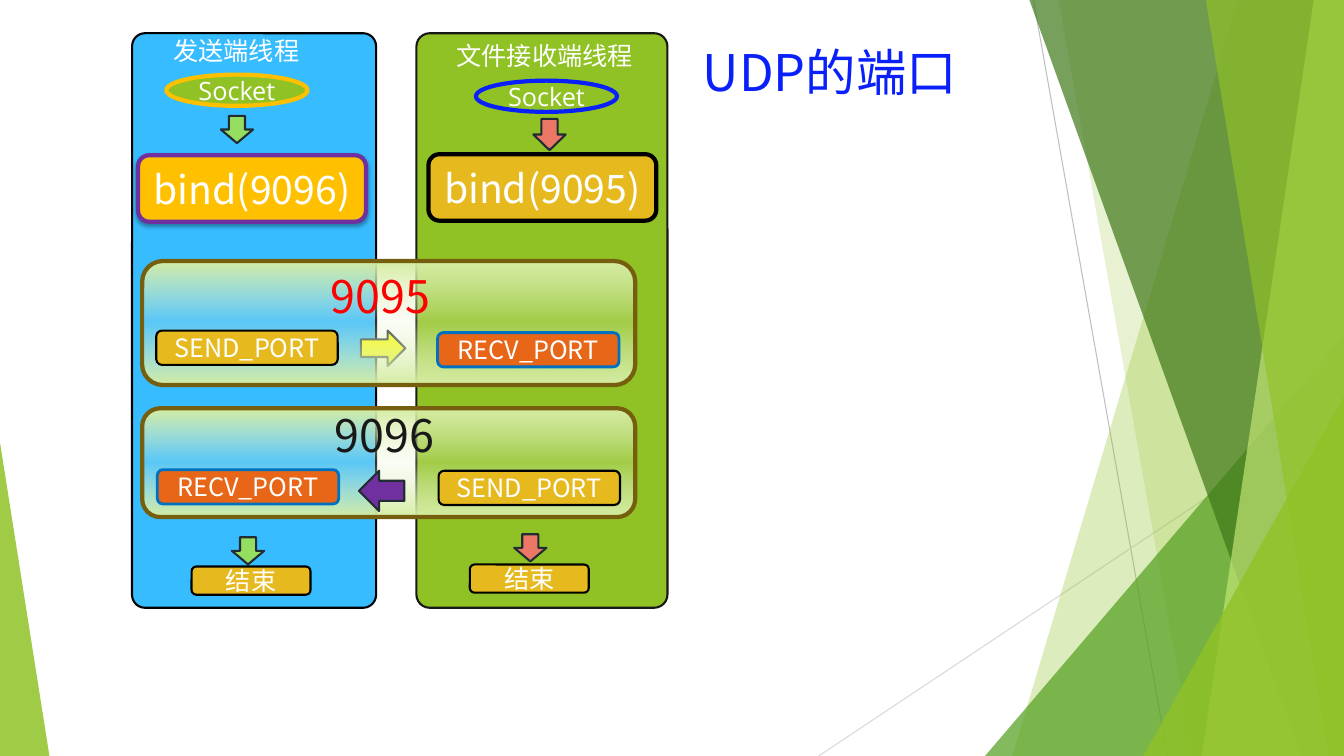
from lxml import etree
from pptx import Presentation
from pptx import util as u
from pptx.dml.color import RGBColor
from pptx.enum import shapes, text
from pptx.oxml import parse_xml
from pptx.oxml.ns import nsdecls, qn

COLORS = {
    "white": "FFFFFF", "black": "000000", "ink": "181818", "slate": "212D32",
    "green": "90C226", "forest": "54A021", "pine": "3F7819", "lime": "C0E474",
    "sky": "37BCFF", "blue": "0920FB", "steel": "0070C0", "purple": "7030A0",
    "amber": "FFC000", "gold": "E6B91E", "orange": "E76618", "bronze": "755E0D",
    "mint": "94DE61", "coral": "EB7766", "yellow": "FFFF00", "red": "FF0000",
    "gray": "BFBFBF", "silver": "D9D9D9", "pale": "D5EDA2", "mist": "EAF6D1",
}
CJK, LATIN = "Noto Sans CJK SC", "Open Sans"
WIDTH, HEIGHT = 13.33, 7.5
KIND = shapes.MSO_SHAPE


def add_text(frame, words, size, color, font=CJK, align=text.PP_ALIGN.LEFT):
    para = frame.paragraphs[0]
    para.alignment = align
    span = para.add_run()
    span.text = words
    span.font.size = u.Pt(size)
    span.font.name = font
    span.font.color.rgb = RGBColor.from_string(COLORS[color])
    east_asian = etree.SubElement(span.font._element, qn("a:ea"))
    east_asian.set("typeface", font)


def add_box(kind, place, fill, line, weight, words="", size=18, font=CJK):
    box = page.shapes.add_shape(kind, *map(u.Inches, place))
    box.shadow.inherit = False
    box.fill.solid()
    box.fill.fore_color.rgb = RGBColor.from_string(COLORS[fill])
    box.line.color.rgb = RGBColor.from_string(COLORS[line])
    box.line.width = u.Pt(weight)
    if words:
        box.text_frame.word_wrap = False
        box.text_frame.vertical_anchor = text.MSO_ANCHOR.MIDDLE
        add_text(box.text_frame, words, size, "white", font, text.PP_ALIGN.CENTER)
    return box


deck = Presentation()
deck.slide_width, deck.slide_height = u.Inches(WIDTH), u.Inches(HEIGHT)
page = deck.slides.add_slide(deck.slide_layouts[5])

# Title
title = page.shapes.title
title.left, title.top, title.width, title.height = map(u.Inches, (6.87, 0.36, 2.83, 0.73))
title.text_frame.word_wrap = True
title.text_frame.auto_size = text.MSO_AUTO_SIZE.NONE
title.text_frame.vertical_anchor = text.MSO_ANCHOR.TOP
add_text(title.text_frame, "UDP的端口", 36, "blue")

# Thin background lines
for start_x, start_y, end_x, color in [(10.25, 0, 11.58, "gray"), (WIDTH, 4.03, 8.12, "silver")]:
    line = page.shapes.add_connector(
        shapes.MSO_CONNECTOR.STRAIGHT, *map(u.Inches, (start_x, start_y, end_x, HEIGHT)))
    line.line.color.rgb = RGBColor.from_string(COLORS[color])
    line.line.width = u.Pt(0.75)
    etree.SubElement(line._element.spPr, qn("a:effectLst"))

# Translucent facets: bands (top x, bottom x) reach the right edge,
# triangles (left, top, width, apex) stand on the bottom edge
facets = [
    ((12.28, 10.04), "green", 30),
    ((10.5, 11.83), "green", 20),
    ((9.77, 3.33, 3.56, 1), "forest", 72),
    ((10.21, 12.91), "pine", 70),
    ((13.03, 11.92), "lime", 70),
    ((11.96, 13.18), "green", 65),
    ((11.34, 3.93, 1.99, 1), "green", 80),
    ((0, 4.39, 0.49, 0), "green", 85),
]
for outline, color, opacity in facets:
    if len(outline) == 2:
        top_x, bottom_x = outline
        builder = page.shapes.build_freeform(u.Inches(top_x), 0)
        corners = [(WIDTH, 0), (WIDTH, HEIGHT), (bottom_x, HEIGHT)]
        builder.add_line_segments([(u.Inches(x), u.Inches(y)) for x, y in corners])
        facet = builder.convert_to_shape()
    else:
        left, top, width, apex = outline
        facet = page.shapes.add_shape(
            KIND.ISOSCELES_TRIANGLE, *map(u.Inches, (left, top, width, HEIGHT - top)))
        facet.adjustments[0] = apex
    facet.shadow.inherit = False
    facet.line.fill.background()
    facet.fill.solid()
    facet.fill.fore_color.rgb = RGBColor.from_string(COLORS[color])
    tint = facet._element.spPr.find(qn("a:solidFill"))[0]
    etree.SubElement(tint, qn("a:alpha")).set("val", str(opacity * 1000))

# Thread lanes
for left, width, fill, line in [(1.31, 2.42, "sky", "black"), (4.13, 2.49, "green", "ink")]:
    lane = add_box(KIND.ROUNDED_RECTANGLE, (left, 0.33, width, 5.7), fill, line, 1.5)
    lane.adjustments[0] = 0.053

# Sockets
for left, top, line in [(1.65, 0.74, "amber"), (4.72, 0.8, "blue")]:
    add_box(KIND.OVAL, (left, top, 1.4, 0.31), "green", line, 3, "Socket", font=LATIN)

# Transfer panels; the yellow arrow lies under the first one
add_box(KIND.RIGHT_ARROW, (3.58, 3.28, 0.44, 0.35), "yellow", "slate", 1.5)
for top, height in [(2.59, 1.23), (4.05, 1.08)]:
    panel = add_box(KIND.ROUNDED_RECTANGLE, (1.41, top, 4.89, height), "pale", "bronze", 3)
    solid = panel._element.spPr.find(qn("a:solidFill"))
    solid.getparent().replace(solid, parse_xml(
        f'<a:gradFill {nsdecls("a")} rotWithShape="1"><a:gsLst>'
        f'<a:gs pos="0"><a:srgbClr val="{COLORS["pale"]}"/></a:gs>'
        f'<a:gs pos="49000"><a:srgbClr val="{COLORS["mist"]}"><a:alpha val="19000"/></a:srgbClr></a:gs>'
        f'<a:gs pos="100000"><a:srgbClr val="{COLORS["pale"]}"/></a:gs>'
        '</a:gsLst><a:lin ang="5400000" scaled="0"/></a:gradFill>'))
add_box(KIND.LEFT_ARROW, (3.56, 4.67, 0.45, 0.4), "purple", "slate", 1.5)

# Port boxes
port_styles = {"SEND_PORT": ("gold", "black", 1.5), "RECV_PORT": ("orange", "steel", 2)}
for left, top, words in [(1.55, 3.28, "SEND_PORT"), (4.34, 3.3, "RECV_PORT"),
                         (1.56, 4.66, "RECV_PORT"), (4.35, 4.67, "SEND_PORT")]:
    add_box(KIND.ROUNDED_RECTANGLE, (left, top, 1.8, 0.34), *port_styles[words], words)

# Down arrows
for left, top, height, fill in [(2.19, 1.15, 0.27, "mint"), (2.3, 5.33, 0.27, "mint"),
                                (5.29, 1.18, 0.31, "coral"), (5.1, 5.3, 0.27, "coral")]:
    add_box(KIND.DOWN_ARROW, (left, top, 0.32, height), fill, "slate", 1.5)

# End boxes
for left, top in [(1.9, 5.62), (4.66, 5.6)]:
    add_box(KIND.ROUNDED_RECTANGLE, (left, top, 1.18, 0.28), "gold", "black", 1.5, "结束")

# Bind boxes; the sender's one casts a soft shadow
add_box(KIND.ROUNDED_RECTANGLE, (4.25, 1.53, 2.26, 0.66), "gold", "black", 3, "bind(9095)", 28)
sender_bind = add_box(
    KIND.ROUNDED_RECTANGLE, (1.37, 1.54, 2.26, 0.66), "amber", "purple", 3, "bind(9096)", 28)
sender_bind._element.spPr.find(qn("a:effectLst")).append(parse_xml(
    f'<a:outerShdw {nsdecls("a")} blurRad="38100" dist="25400" dir="5400000" rotWithShape="0">'
    f'<a:srgbClr val="{COLORS["black"]}"><a:alpha val="35000"/></a:srgbClr></a:outerShdw>'))

# Lane headings and port numbers
labels = [
    ((1.62, 0.3, 1.46, 0.4), "发送端线程", 18, "white"),
    ((4.43, 0.35, 1.97, 0.4), "文件接收端线程", 18, "white"),
    ((3.18, 2.62, 1.25, 0.64), "9095", 32, "red"),
    ((3.22, 4, 1.25, 0.64), "9096", 32, "ink"),
]
for place, words, size, color in labels:
    label = page.shapes.add_textbox(*map(u.Inches, place))
    label.text_frame.word_wrap = False
    label.text_frame.auto_size = text.MSO_AUTO_SIZE.SHAPE_TO_FIT_TEXT
    add_text(label.text_frame, words, size, color)

deck.save("out.pptx")
